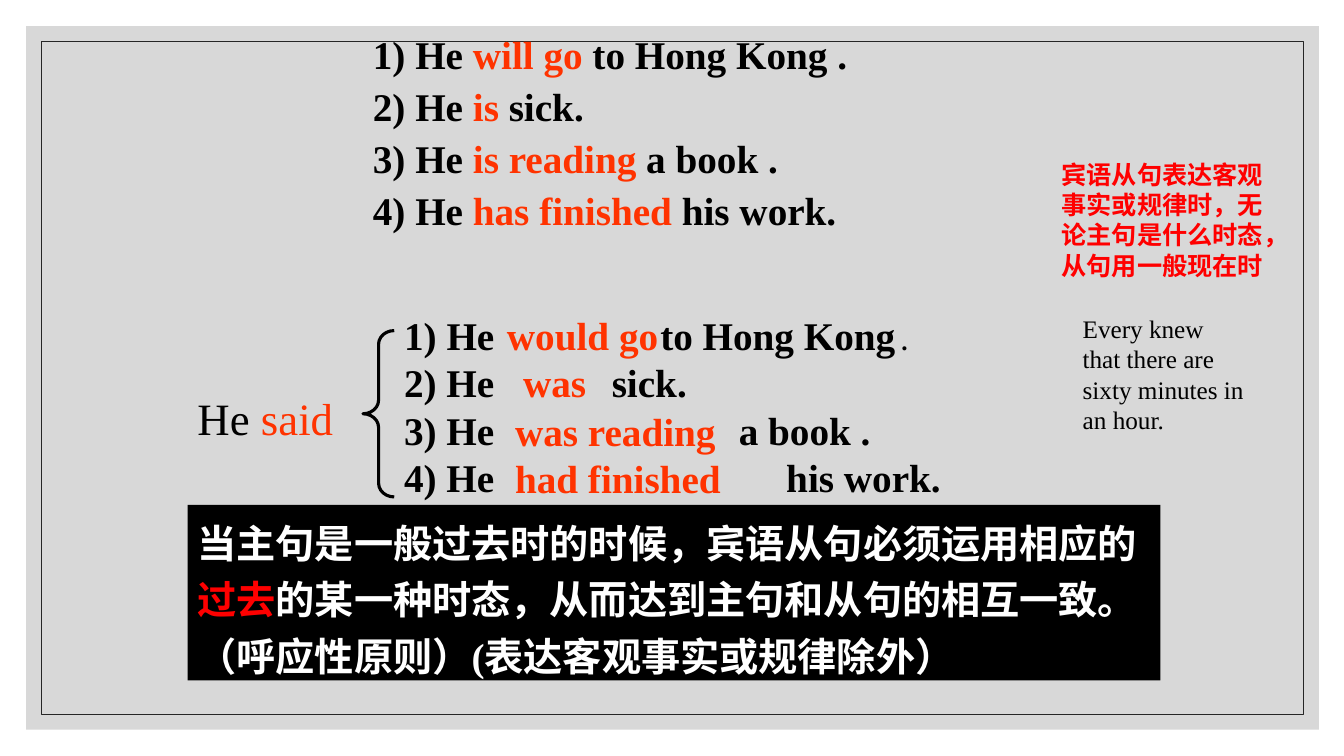
from lxml import etree
from pptx import Presentation
from pptx import util as u
from pptx.dml import color
from pptx.enum import shapes, text
from pptx.oxml import ns

PX = 9144
FONT = "Times New Roman"
COLORS = {
    "paper": "FFFFFF", "panel": "BFBFBF", "frame": "262626", "ink": "000000",
    "verb": "FF3300", "alert": "FF0000",
}


def px(*lengths):
    """Turn pixel lengths into EMU."""
    return [u.Emu(length * PX) for length in lengths]


def rgb(name):
    """Look up a named colour."""
    return color.RGBColor.from_string(COLORS[name])


def add_tab(paragraph, position):
    """Add a left tab stop at a pixel position."""
    stops = etree.SubElement(paragraph._p.get_or_add_pPr(), ns.qn("a:tabLst"))
    etree.SubElement(stops, ns.qn("a:tab"), pos=str(position * PX), algn="l")


def write(box, lines, size=28, bold=True, ink="ink", spacing=None, wrap=True, tabs=()):
    """Fill a shape with lines of (text, colour, size) runs."""
    frame = box.text_frame
    frame.word_wrap = wrap
    frame.auto_size = text.MSO_AUTO_SIZE.SHAPE_TO_FIT_TEXT
    frame.vertical_anchor = text.MSO_ANCHOR.TOP
    for index, line in enumerate(lines):
        paragraph = frame.paragraphs[0] if index == 0 else frame.add_paragraph()
        paragraph.alignment = text.PP_ALIGN.LEFT
        if spacing:
            paragraph.line_spacing = spacing
        if index < len(tabs):
            add_tab(paragraph, tabs[index])
        for words, *style in line:
            run = paragraph.add_run()
            run.text = words
            run.font.name = FONT
            run.font.bold = bold
            run.font.color.rgb = rgb(style[0] if style else ink)
            run.font.size = u.Pt(style[1] if len(style) > 1 else size)


def add_text(parent, place, lines, **style):
    """Add a text box at a pixel place."""
    write(parent.add_textbox(*px(*place)), lines, **style)


def add_shape(parent, kind, place, fill=None, line=None, width=1):
    """Add a preset shape with a plain fill and outline."""
    shape = parent.add_shape(kind, *px(*place))
    shape.shadow.inherit = False
    if fill:
        shape.fill.solid()
        shape.fill.fore_color.rgb = rgb(fill)
    else:
        shape.fill.background()
    if line:
        shape.line.color.rgb = rgb(line)
        shape.line.width = u.Pt(width)
    else:
        shape.line.fill.background()
    return shape


def add_backdrop(parent):
    """Draw the translucent panel and its thin frame."""
    rectangle = shapes.MSO_SHAPE.RECTANGLE
    panel = add_shape(parent, rectangle, (26, 26, 1282, 698), fill="panel")
    tint = panel._element.spPr.find(ns.qn("a:solidFill"))[0]
    etree.SubElement(tint, ns.qn("a:alpha"), val="60000")
    add_shape(parent, rectangle, (41, 41, 1252, 668), line="frame", width=0.5)


def add_main_clause(parent):
    """Group the main clause with the brace that opens its objects."""
    clause = parent.add_group_shape().shapes
    add_text(clause, (186, 383, 173, 64), [[("He ",), ("said", "verb")]],
             size=32, bold=False)
    brace = add_shape(clause, shapes.MSO_SHAPE.LEFT_BRACE, (360, 328, 31, 165),
                      line="ink", width=2.25)
    brace.adjustments[0] = 0.437
    brace.adjustments[1] = 0.5


def main():
    """Build the slide on tenses in object clauses."""
    deck = Presentation()
    deck.slide_width, deck.slide_height = px(1333, 750)
    slide = deck.slides.add_slide(deck.slide_layouts[6])
    slide.background.fill.solid()
    slide.background.fill.fore_color.rgb = rgb("paper")
    parts = slide.shapes
    add_backdrop(parts)

    present = [("will go", " to Hong Kong ."), ("is ", "sick."),
               ("is reading", " a book ."), ("has finished ", "his work.")]
    add_text(parts, (360, 21, 496, 214),
             [[(f"{number}) He ",), (verb, "verb"), (rest,)]
              for number, (verb, rest) in enumerate(present, 1)],
             spacing=1.1, wrap=False)

    add_text(parts, (391, 304, 532, 88),
             [[("1) He\tto Hong Kong",), (" .", "ink", 18)]],
             wrap=False, tabs=[254])
    add_text(parts, (391, 351, 617, 151),
             [[("2) He\tsick.",)], [("3) He\ta book .",)], [("4) He",)]],
             tabs=[206, 332])
    add_main_clause(parts)

    answers = [("would go", "verb", (493, 304, 213, 57)),
               ("was", "verb", (509, 351, 157, 57)),
               ("was reading", "verb", (501, 399, 315, 57)),
               ("his work.", "ink", (770, 445, 440, 57)),
               ("had finished", "verb", (501, 446, 655, 57))]
    for words, ink, place in answers:
        add_text(parts, place, [[(words, ink)]])

    rule = add_shape(parts, shapes.MSO_SHAPE.RECTANGLE, (186, 501, 965, 174), fill="ink")
    write(rule, [[("当主句是一般过去时的时候，宾语从句必须运用相应的",), ("过去", "alert"),
                  ("的某一种时态，从而达到主句和从句的相互一致。"
                   "（呼应性原则）(表达客观事实或规律除外）",)]],
          ink="paper", spacing=1.2)

    add_text(parts, (1043, 153, 226, 131),
             [[("宾语从句表达客观事实或规律时，无论主句是什么时态，从句用一般现在时",)]],
             size=18, ink="alert")
    add_text(parts, (1064, 306, 183, 131),
             [[("Every knew that there are sixty minutes in an hour.",)]],
             size=18, bold=False)
    deck.save("out.pptx")


if __name__ == "__main__":
    main()
